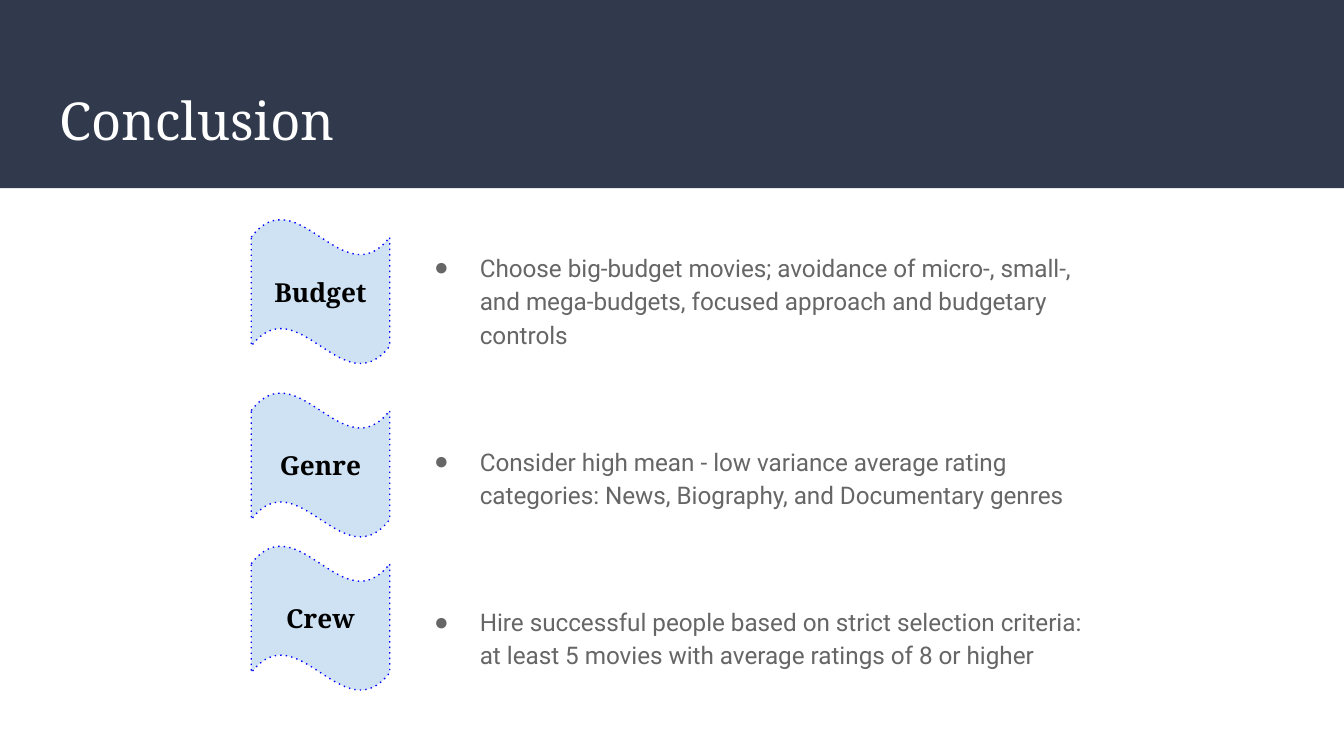
from lxml import etree
from pptx import Presentation
from pptx.dml.color import RGBColor
from pptx.enum.shapes import MSO_SHAPE
from pptx.enum.text import MSO_ANCHOR, MSO_AUTO_SIZE, PP_ALIGN
from pptx.oxml.ns import qn
from pptx.util import Inches, Pt

RECTANGLE, WAVE = MSO_SHAPE.RECTANGLE, MSO_SHAPE.WAVE
MIDDLE, TOP = MSO_ANCHOR.MIDDLE, MSO_ANCHOR.TOP
LEFT, CENTER = PP_ALIGN.LEFT, PP_ALIGN.CENTER
NO_AUTOFIT = MSO_AUTO_SIZE.NONE

SERIF, SANS = "Noto Serif", "Roboto"
COLORS = {
    "band": "31394D",
    "title": "FFFFFF",
    "flag": "CFE2F3",
    "flag_line": "0000FF",
    "label": "000000",
    "body": "666666",
}
FLAGS = [("Budget", 1.63), ("Genre", 2.92), ("Crew", 4.06)]
ADVICE = [
    "Choose big-budget movies; avoidance of micro-, small-, and mega-budgets, "
    "focused approach and budgetary controls",
    "Consider high mean - low variance average rating categories: "
    "News, Biography, and Documentary genres",
    "Hire successful people based on strict selection criteria: "
    "at least 5 movies with average ratings of 8 or higher",
]


def color(name):
    """Return the named colour."""
    return RGBColor.from_string(COLORS[name])


def place(shape, left, top, width, height):
    """Move and size a placeholder, in inches."""
    shape.left, shape.top = Inches(left), Inches(top)
    shape.width, shape.height = Inches(width), Inches(height)


def set_frame(shape, anchor):
    """Give the text frame even insets and an anchor, and return it."""
    frame = shape.text_frame
    frame.margin_left = frame.margin_right = Inches(0.1)
    frame.margin_top = frame.margin_bottom = Inches(0.1)
    frame.word_wrap = True
    frame.auto_size = NO_AUTOFIT
    frame.vertical_anchor = anchor
    return frame


def add_text(paragraph, text, font, size, color_name, align=LEFT, bold=False):
    """Add one formatted run to a paragraph."""
    paragraph.alignment = align
    run = paragraph.add_run()
    run.text = text
    run.font.name = font
    run.font.size = Pt(size)
    run.font.bold = bold
    run.font.color.rgb = color(color_name)


def add_band(slide):
    """Draw the header band behind everything else."""
    band = slide.shapes.add_shape(RECTANGLE, 0, 0, Inches(10), Inches(1.4))
    band.shadow.inherit = False
    band.fill.solid()
    band.fill.fore_color.rgb = color("band")
    band.line.fill.background()
    slide.shapes[0].element.addprevious(band.element)


def fill_title(title, text):
    """Write the slide title on the band."""
    place(title, 0.34, 0.55, 9.32, 0.68)
    frame = set_frame(title, MIDDLE)
    add_text(frame.paragraphs[0], text, SERIF, 28, "title")


def add_flag(slide, label, top):
    """Draw a dotted wave with a bold label."""
    flag = slide.shapes.add_shape(
        WAVE, Inches(1.87), Inches(top), Inches(1.03), Inches(1.08))
    flag.shadow.inherit = False
    flag.adjustments[0] = 0.125
    flag.fill.solid()
    flag.fill.fore_color.rgb = color("flag")
    flag.line.color.rgb = color("flag_line")
    flag.line.width = Pt(0.75)
    outline = flag.element.spPr.find(qn("a:ln"))
    etree.SubElement(outline, qn("a:prstDash"), val="dot")
    frame = set_frame(flag, MIDDLE)
    add_text(frame.paragraphs[0], label, SERIF, 14, "label", CENTER, True)


def set_bullet(paragraph):
    """Give a paragraph a hanging round bullet."""
    properties = paragraph._p.get_or_add_pPr()
    properties.set("marL", str(Inches(0.5)))
    properties.set("indent", str(Inches(-0.34)))
    bullet_color = etree.SubElement(properties, qn("a:buClr"))
    etree.SubElement(bullet_color, qn("a:srgbClr"), val=COLORS["body"])
    etree.SubElement(properties, qn("a:buChar"), char="●")


def fill_body(body, items):
    """Write the bulleted list with wide gaps between its items."""
    place(body, 2.97, 1.75, 5.21, 3.38)
    frame = set_frame(body, TOP)
    for index, item in enumerate(items):
        paragraph = frame.add_paragraph() if index else frame.paragraphs[0]
        paragraph.line_spacing = 1.15
        paragraph.space_before = Pt(50 if index else 0)
        set_bullet(paragraph)
        add_text(paragraph, item, SANS, 13, "body")


def main():
    """Build and save the slide."""
    presentation = Presentation()
    presentation.slide_width = Inches(10)
    presentation.slide_height = presentation.slide_width * 9 // 16
    slide = presentation.slides.add_slide(presentation.slide_layouts[1])
    add_band(slide)
    fill_title(slide.shapes.title, "Conclusion")
    for label, top in FLAGS:
        add_flag(slide, label, top)
    fill_body(slide.placeholders[1], ADVICE)
    presentation.save("out.pptx")


main()
